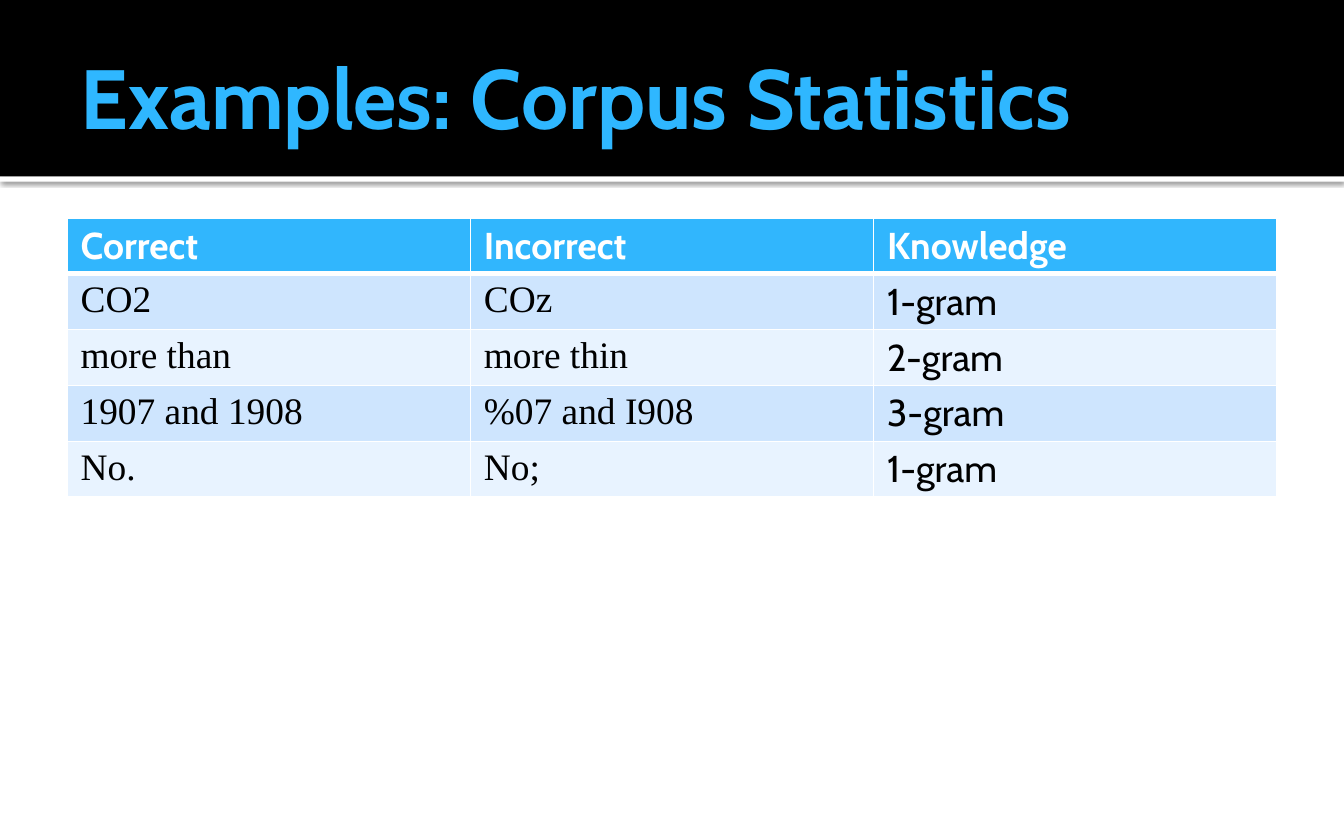
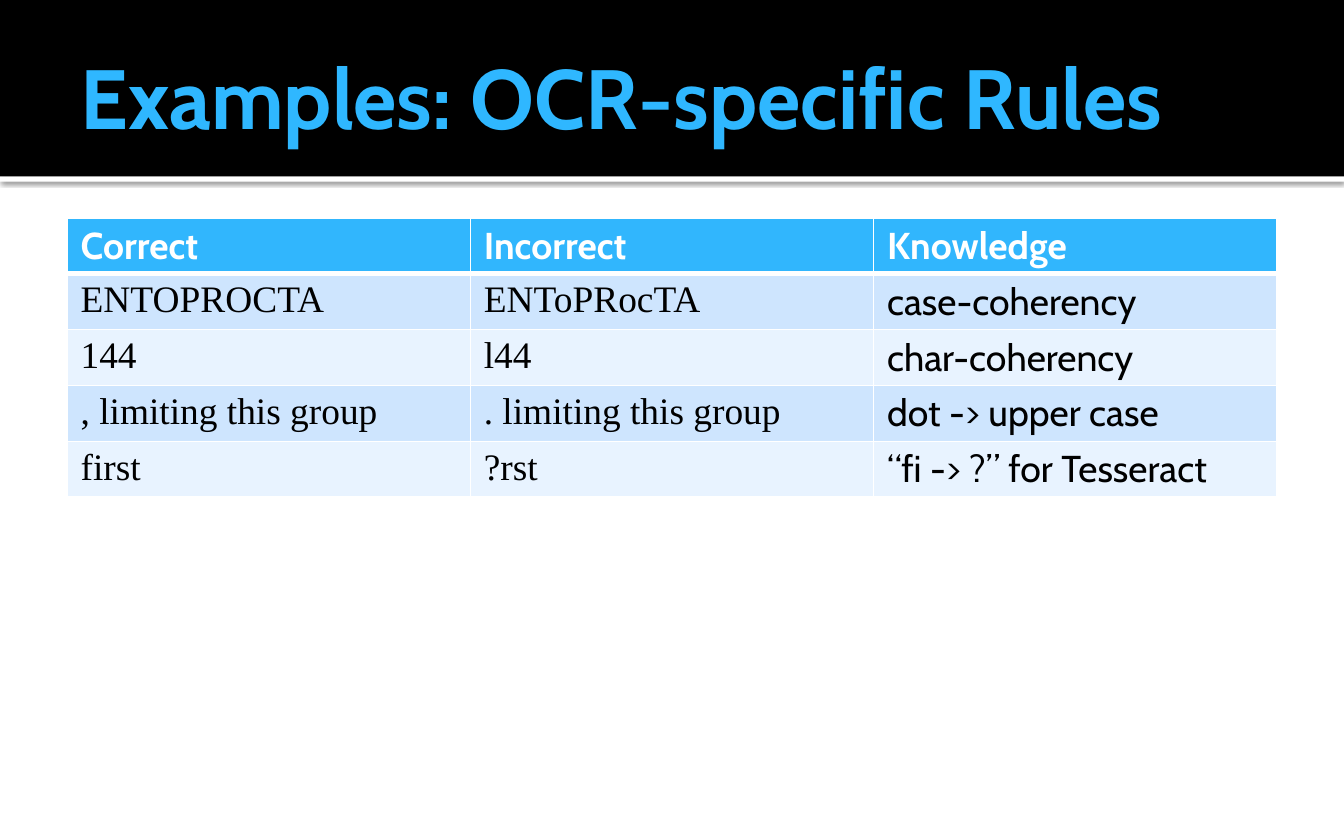
"""Build two slides of OCR correction examples."""
from lxml import etree
from pptx import Presentation
from pptx.dml.color import RGBColor
from pptx.enum.shapes import MSO_SHAPE
from pptx.enum.text import MSO_ANCHOR
from pptx.oxml.ns import qn
from pptx.util import Inches, Pt

RECT = MSO_SHAPE.RECTANGLE
MIDDLE = MSO_ANCHOR.MIDDLE

BLACK = RGBColor(0x00, 0x00, 0x00)
WHITE = RGBColor(0xFF, 0xFF, 0xFF)
SKY = RGBColor(0x2F, 0xB7, 0xFF)
BLUE = RGBColor(0x31, 0xB6, 0xFD)
PALE = RGBColor(0xCE, 0xE5, 0xFE)
MIST = RGBColor(0xE8, 0xF3, 0xFF)

SANS, SERIF = "Cabin", "Times New Roman"
COLS, ROWS = 20, 50
TITLE = {"name": SANS, "size": Pt(45), "bold": True}
HEAD = {"name": SANS, "size": Pt(20), "bold": True}
TERM = {"name": SERIF, "size": Pt(20), "bold": False}
NOTE = {"name": SANS, "size": Pt(20), "bold": False}
INSET = {"margin_left": Inches(0.1), "margin_right": Inches(0.05),
         "margin_top": Inches(0.05), "margin_bottom": Inches(0.05)}
PAD = {"margin_left": Inches(0.1), "margin_right": Inches(0.1),
       "margin_top": Inches(0.04), "margin_bottom": Inches(0.04)}

HEADS = ("Correct", "Incorrect", "Knowledge")
PAGES = {
    "Examples: Corpus Statistics": (
        ("CO2", "COz", "1-gram"),
        ("more than", "more thin", "2-gram"),
        ("1907 and 1908", "%07 and I908", "3-gram"),
        ("No.", "No;", "1-gram"),
    ),
    "Examples: OCR-specific Rules": (
        ("ENTOPROCTA", "ENToPRocTA", "case-coherency"),
        ("144", "l44", "char-coherency"),
        (", limiting this group", ". limiting this group", "dot -> upper case"),
        ("first", "?rst", "“fi -> ?” for Tesseract"),
    ),
}


def apply(item, values):
    for name, value in values.items():
        setattr(item, name, value)


def paint(fill, color):
    fill.solid()
    fill.fore_color.rgb = color


class Deck:
    def __init__(self):
        self.prs = Presentation()
        self.prs.slide_width = Inches(10)
        self.prs.slide_height = Inches(6.25)
        self.slide = None

    def area(self, col, row, wide, high):
        across = self.prs.slide_width / COLS
        down = self.prs.slide_height / ROWS
        return (round(col * across), round(row * down),
                round(wide * across), round(high * down))

    def page(self, title):
        self.slide = self.prs.slides.add_slide(self.prs.slide_layouts[6])
        paint(self.slide.background.fill, WHITE)
        self.shade(self.band(10.5, 0.32, WHITE))
        self.band(0, 10.5, BLACK)
        self.title(title)

    def band(self, row, high, color):
        band = self.slide.shapes.add_shape(RECT, *self.area(0, row, COLS, high))
        band.shadow.inherit = False
        paint(band.fill, color)
        band.line.fill.background()
        return band

    def shade(self, shape):
        effects = shape._element.spPr.find(qn("a:effectLst"))
        shadow = etree.SubElement(
            effects, qn("a:outerShdw"), blurRad=str(Pt(2.5)),
            dist=str(Pt(0.8)), dir=str(90 * 60000), rotWithShape="0")
        color = etree.SubElement(shadow, qn("a:srgbClr"), val=str(BLACK))
        etree.SubElement(color, qn("a:alpha"), val="60000")

    def label(self, frame, text, style, color):
        run = frame.paragraphs[0].add_run()
        run.text = text
        apply(run.font, style)
        run.font.color.rgb = color

    def title(self, text):
        box = self.slide.shapes.add_textbox(*self.area(1, 1.12, 18, 9.12))
        frame = box.text_frame
        apply(frame, INSET | {"word_wrap": True, "vertical_anchor": MIDDLE})
        self.label(frame, text, TITLE, SKY)

    def edge(self, cell, row):
        props = cell._tc.get_or_add_tcPr()
        for side in "LRTB":
            thick = (row, side) in ((0, "B"), (1, "T"))
            line = etree.SubElement(props, qn(f"a:ln{side}"),
                                    w=str(Pt(3 if thick else 1)))
            fill = etree.SubElement(line, qn("a:solidFill"))
            etree.SubElement(fill, qn("a:srgbClr"), val=str(WHITE))

    def table(self, rows):
        lines = (HEADS, *rows)
        table = self.slide.shapes.add_table(
            len(lines), len(HEADS), *self.area(1, 12.97, 18, 16.64)).table
        table.horz_banding = False
        for r, line in enumerate(lines):
            back = BLUE if r == 0 else PALE if r % 2 else MIST
            color = BLACK if r else WHITE
            for c, text in enumerate(line):
                cell = table.cell(r, c)
                apply(cell, PAD)
                self.edge(cell, r)
                paint(cell.fill, back)
                style = HEAD if r == 0 else NOTE if c == 2 else TERM
                self.label(cell.text_frame, text, style, color)


def main():
    deck = Deck()
    for title, rows in PAGES.items():
        deck.page(title)
        deck.table(rows)
    deck.prs.save("out.pptx")


if __name__ == "__main__":
    main()
